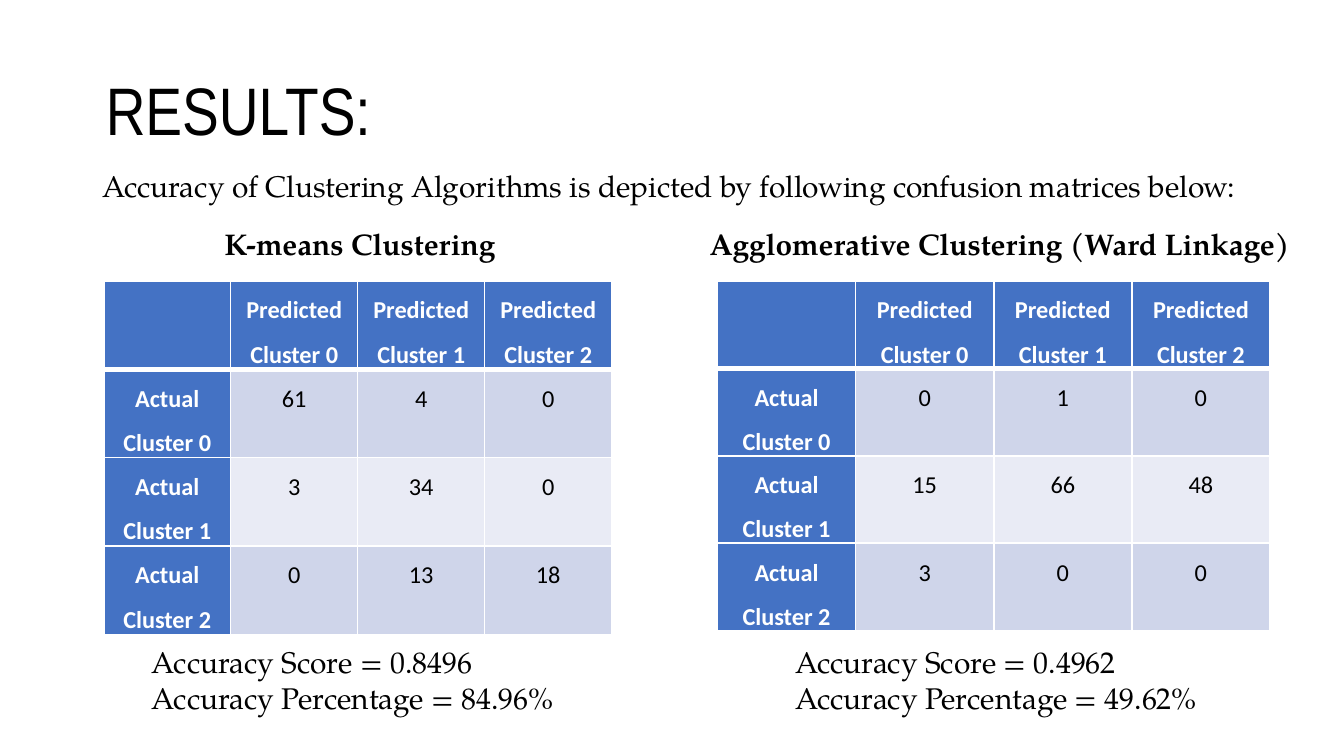
import pptx
import pptx.dml.color
import pptx.enum.text
import pptx.oxml
import pptx.oxml.ns
import pptx.util
from pptx.util import Cm

COLORS = {
    "text": "000000",
    "white": "FFFFFF",
    "header": "4472C4",
    "band_dark": "CFD5EA",
    "band_light": "E9EBF5",
}
BODY_FONT = "TeX Gyre Pagella"
CLUSTERS = ["Cluster 0", "Cluster 1", "Cluster 2"]


def rgb(name):
    return pptx.dml.color.RGBColor.from_string(COLORS[name])


def add_run(p, text, font, size, color="text", bold=False):
    r = p.add_run()
    r.text = text
    r.font.name = font
    r.font.size = pptx.util.Pt(size)
    r.font.bold = bold
    r.font.color.rgb = rgb(color)


def add_title(s, text):
    sp = s.shapes.add_textbox(Cm(1.75), Cm(0.76), Cm(21.89), Cm(2.77))
    tf = sp.text_frame
    tf.word_wrap = True
    tf.vertical_anchor = pptx.enum.text.MSO_ANCHOR.MIDDLE
    p = tf.paragraphs[0]
    p.line_spacing = 0.9
    add_run(p, text, "Arial Narrow", 36)


def add_text(s, left, top, width, height, lines, bold=False):
    sp = s.shapes.add_textbox(Cm(left), Cm(top), Cm(width), Cm(height))
    tf = sp.text_frame
    tf.word_wrap = False
    tf.auto_size = pptx.enum.text.MSO_AUTO_SIZE.SHAPE_TO_FIT_TEXT
    for i, line in enumerate(lines):
        p = tf.add_paragraph() if i else tf.paragraphs[0]
        add_run(p, line, BODY_FONT, 16, bold=bold)


def set_borders(cell, top, bottom):
    tcPr = cell._tc.get_or_add_tcPr()
    for side, points in (("L", 1), ("R", 1), ("T", top), ("B", bottom)):
        tcPr.append(pptx.oxml.parse_xml(
            f'<a:ln{side} {pptx.oxml.ns.nsdecls("a")} w="{pptx.util.Pt(points)}">'
            f'<a:solidFill><a:srgbClr val="{COLORS["white"]}"/></a:solidFill>'
            f'</a:ln{side}>'))


def fill_cell(cell, text, row, is_header):
    # Thick rule between the header row and the body
    set_borders(cell, 3 if row == 1 else 1, 3 if row == 0 else 1)
    band = "band_dark" if row % 2 else "band_light"
    cell.fill.solid()
    cell.fill.fore_color.rgb = rgb("header" if is_header else band)
    if not text:
        return
    cell.margin_left = cell.margin_right = Cm(0.18)
    cell.margin_top = cell.margin_bottom = 0
    p = cell.text_frame.paragraphs[0]
    p.alignment = pptx.enum.text.PP_ALIGN.CENTER
    p.line_spacing = 1.5
    p.space_after = pptx.util.Pt(8)
    add_run(p, text, "Calibri", 13, "white" if is_header else "text", is_header)


def add_matrix(s, left, col_width, row_height, values):
    rows = [[""] + [f"Predicted {c}" for c in CLUSTERS]]
    rows += [[f"Actual {c}"] + [str(v) for v in line]
             for c, line in zip(CLUSTERS, values)]
    n = len(rows)
    table = s.shapes.add_table(n, n, Cm(left), Cm(5.31),
                               Cm(col_width * n), Cm(row_height * n)).table
    table.first_col = True
    table.horz_banding = False
    for i, line in enumerate(rows):
        table.rows[i].height = Cm(row_height)
        table.columns[i].width = Cm(col_width)
        for j, text in enumerate(line):
            fill_cell(table.cell(i, j), text, i, i == 0 or j == 0)


def main():
    prs = pptx.Presentation()
    prs.slide_width, prs.slide_height = Cm(25.4), Cm(14.29)
    s = prs.slides.add_slide(prs.slide_layouts[6])

    # Title and introduction
    add_title(s, "RESULTS:")
    add_text(s, 1.68, 3.05, 22.33, 0.94,
             ["Accuracy of Clustering Algorithms is depicted by following "
              "confusion matrices below:"])

    # K-means results
    add_text(s, 3.99, 4.14, 5.72, 0.94, ["K-means Clustering"], bold=True)
    add_matrix(s, 1.96, 2.4, 1.67, [[61, 4, 0], [3, 34, 0], [0, 13, 18]])
    add_text(s, 2.62, 12.04, 8.28, 1.63,
             ["Accuracy Score = 0.8496", "Accuracy Percentage = 84.96%"])

    # Agglomerative results
    add_text(s, 13.16, 4.14, 11.51, 0.94,
             ["Agglomerative Clustering (Ward Linkage)"], bold=True)
    add_matrix(s, 13.56, 2.61, 1.64, [[0, 1, 0], [15, 66, 48], [3, 0, 0]])
    add_text(s, 14.78, 12.04, 8.18, 1.63,
             ["Accuracy Score = 0.4962", "Accuracy Percentage = 49.62%"])

    prs.save("out.pptx")


if __name__ == "__main__":
    main()
